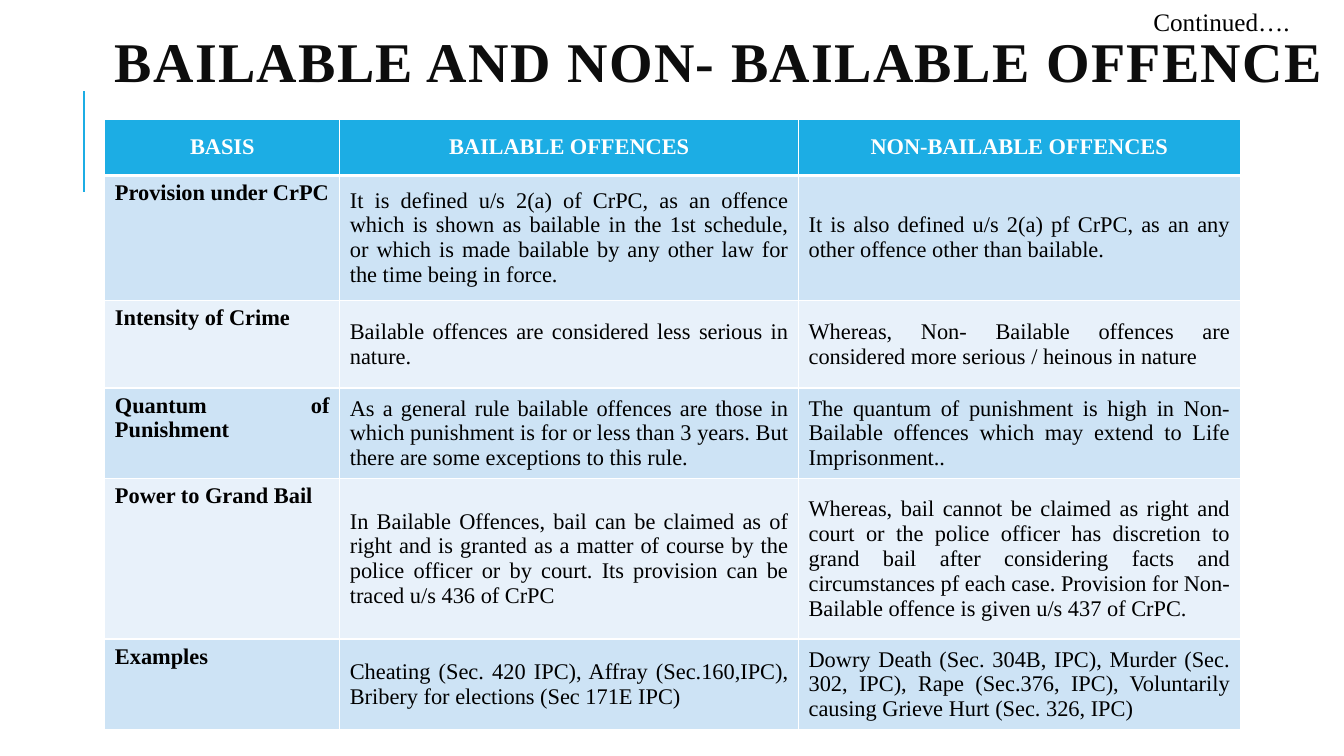
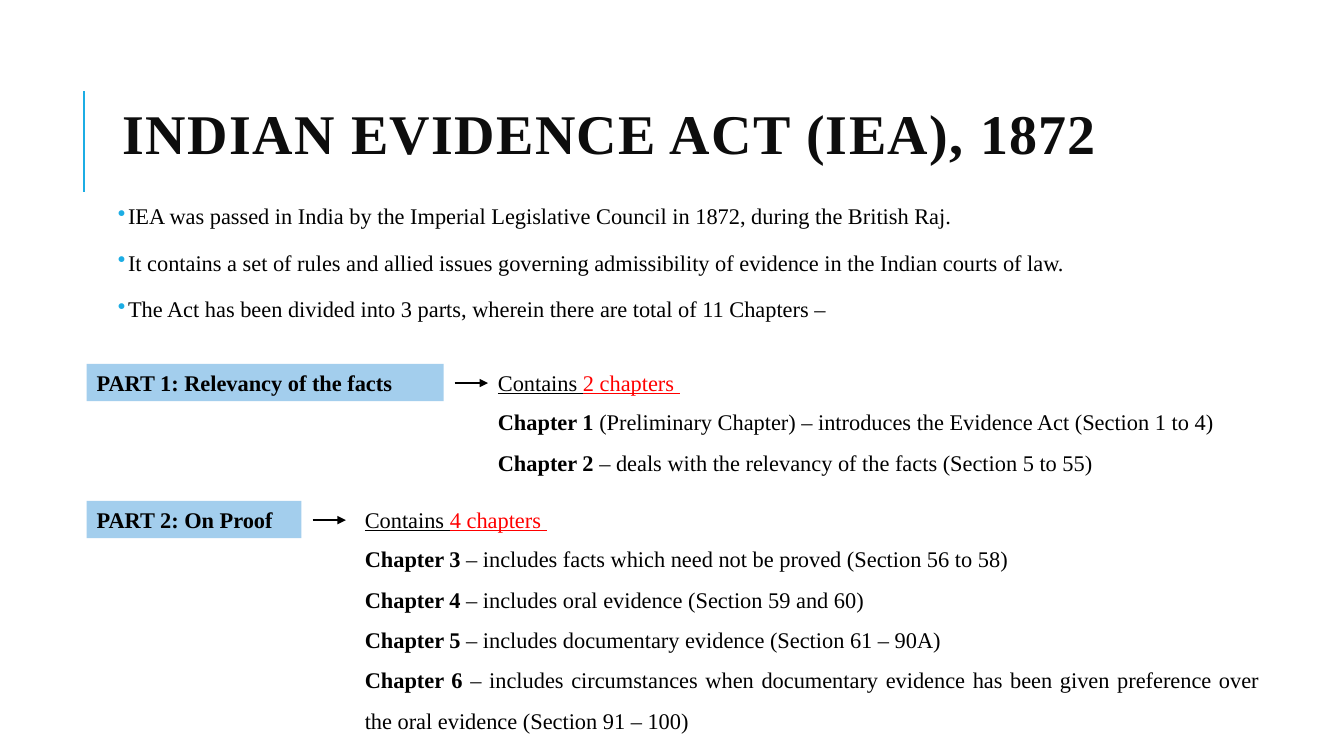
"""Build two slides on bailable offences and the Indian Evidence Act."""
from lxml import etree
from pptx import Presentation
from pptx import util as u
from pptx.dml import color
from pptx.enum import shapes, text
from pptx.oxml import ns

FONT = "Times New Roman"
BLUE, PALE, SOFT, BAND = "1CADE4", "E8F1FA", "CDE3F5", "A3CEED"
BLACK, INK, RED, WHITE = "000000", "0D0D0D", "FF0000", "FFFFFF"
JUST, MID = text.PP_ALIGN.JUSTIFY, text.MSO_ANCHOR.MIDDLE
LEFT, TOP = text.PP_ALIGN.LEFT, text.MSO_ANCHOR.TOP

COLS = [2.33, 4.55, 4.38]
ROWS = [0.56, 1.24, 0.87, 0.84, 1.59, 0.87]
CELLS = [
    ["BASIS", "BAILABLE OFFENCES", "NON-BAILABLE OFFENCES"],
    ["Provision under CrPC",
     "It is defined u/s 2(a) of CrPC, as an offence which is shown as bailable in the "
     "1st schedule, or which is made bailable by any other law for the time being in force.",
     "It is also defined u/s 2(a) pf CrPC, as an any other offence other than bailable."],
    ["Intensity of Crime",
     "Bailable offences are considered less serious in nature.",
     "Whereas, Non- Bailable offences are considered more serious / heinous in nature"],
    ["Quantum of Punishment",
     "As a general rule bailable offences are those in which punishment is for or less "
     "than 3 years. But there are some exceptions to this rule.",
     "The quantum of punishment is high in Non- Bailable offences which may extend to "
     "Life Imprisonment.."],
    ["Power to Grand Bail",
     "In Bailable Offences, bail can be claimed as of right and is granted as a matter of "
     "course by the police officer or by court. Its provision can be traced u/s 436 of CrPC",
     "Whereas, bail cannot be claimed as right and court or the police officer has "
     "discretion to grand bail after considering facts and circumstances pf each case. "
     "Provision for Non- Bailable offence is given u/s 437 of CrPC."],
    ["Examples",
     "Cheating (Sec. 420 IPC), Affray (Sec.160,IPC), Bribery for elections (Sec 171E IPC)",
     "Dowry Death (Sec. 304B, IPC), Murder (Sec. 302, IPC), Rape (Sec.376, IPC), "
     "Voluntarily causing Grieve Hurt (Sec. 326, IPC)"],
]
FACTS = [
    "IEA was passed in India by the Imperial Legislative Council in 1872, during the British Raj.",
    "It contains a set of rules and allied issues governing admissibility of evidence in the "
    "Indian courts of law.",
    "The Act has been divided into 3 parts, wherein there are total of 11 Chapters –",
]
PART1 = [
    ("Chapter 1", " (Preliminary Chapter) – introduces the Evidence Act (Section 1 to 4)"),
    ("Chapter 2", " – deals with the relevancy of the facts (Section 5 to 55)"),
]
PART2 = [
    ("Chapter 3", " – includes facts which need not be proved (Section 56 to 58)"),
    ("Chapter 4", " – includes oral evidence (Section 59 and 60)"),
    ("Chapter 5", " – includes documentary evidence (Section 61 – 90A)"),
    ("Chapter 6", " – includes circumstances when documentary evidence has been given "
                  "preference over the oral evidence (Section 91 – 100)"),
]


def rgb(code):
    """Turn a hex string into a colour."""
    return color.RGBColor.from_string(code)


def inches(*sizes):
    """Turn numbers into lengths."""
    return [u.Inches(size) for size in sizes]


def style(run, size=16, ink=BLACK, bold=False, line=False):
    """Set the font of a run."""
    font = run.font
    font.name, font.size, font.bold = FONT, u.Pt(size), bold
    font.underline = line
    font.color.rgb = rgb(ink)


def fill(frame, paras, align=LEFT, anchor=TOP, space=None):
    """Write paragraphs, each a list of (words, style) pairs."""
    frame.word_wrap = True
    frame.vertical_anchor = anchor
    for num, parts in enumerate(paras):
        para = frame.add_paragraph() if num else frame.paragraphs[0]
        para.alignment = align
        if space:
            para.line_spacing = space
        for words, look in parts:
            run = para.add_run()
            run.text = words
            style(run, **look)


def label(owner, at, paras, **opts):
    """Add a text box."""
    box = owner.shapes.add_textbox(*inches(*at))
    fill(box.text_frame, paras, **opts)
    return box


def line(owner, ends, ink, width, arrow=False):
    """Add a straight line, with an arrowhead if asked."""
    link = owner.shapes.add_connector(shapes.MSO_CONNECTOR.STRAIGHT, *inches(*ends))
    link.line.color.rgb = rgb(ink)
    link.line.width = u.Pt(width)
    if arrow:
        etree.SubElement(link.line._get_or_add_ln(), ns.qn("a:tailEnd"), type="triangle")
    etree.SubElement(link._element.spPr, ns.qn("a:effectLst"))


def page(deck, title, at, **opts):
    """Add a slide with its accent line and title."""
    slide = deck.slides.add_slide(deck.slide_layouts[6])
    line(slide, (0.83, 1.9, 0.83, 0.9), BLUE, 1.5)
    look = dict(size=40, ink=INK, bold=True)
    box = label(slide, at, [[(title, look)]], anchor=MID, **opts)
    box.text_frame.paragraphs[0].runs[0]._r.get_or_add_rPr().set("spc", "100")
    return slide


def edge(cell, top, base):
    """Draw white borders round a cell."""
    props = cell._tc.get_or_add_tcPr()
    for num, (side, width) in enumerate(zip("LRTB", (1, 1, top, base))):
        rule = etree.Element(ns.qn("a:ln" + side), w=str(u.Pt(width)))
        solid = etree.SubElement(rule, ns.qn("a:solidFill"))
        etree.SubElement(solid, ns.qn("a:srgbClr"), val=WHITE)
        props.insert(num, rule)


def grid(slide, left, top):
    """Add the comparison table."""
    size = inches(left, top, sum(COLS), sum(ROWS))
    table = slide.shapes.add_table(len(ROWS), len(COLS), *size).table
    for col, width in zip(table.columns, COLS):
        col.width = u.Inches(width)
    for row, (tall, words) in enumerate(zip(ROWS, CELLS)):
        table.rows[row].height = u.Inches(tall)
        head = row == 0
        for col, word in enumerate(words):
            cell = table.cell(row, col)
            look = dict(ink=WHITE if head else BLACK, bold=head or col == 0)
            fill(cell.text_frame, [[(word, look)]],
                 align=text.PP_ALIGN.CENTER if head else JUST)
            cell.vertical_anchor = MID if head or col else TOP
            cell.fill.solid()
            cell.fill.fore_color.rgb = rgb(BLUE if head else SOFT if row % 2 else PALE)
            edge(cell, 3 if row == 1 else 1, 3 if head else 1)


def bullets(slide, at, items):
    """Add a bulleted list."""
    box = label(slide, at, [[(item, {})] for item in items], align=JUST)
    frame = box.text_frame
    frame.margin_left = frame.margin_right = u.Inches(0.05)
    for num, para in enumerate(frame.paragraphs):
        props = para._p.get_or_add_pPr()
        props.set("marL", str(u.Inches(0.1)))
        props.set("indent", str(u.Inches(-0.1)))
        tint = etree.SubElement(props, ns.qn("a:buClr"))
        etree.SubElement(tint, ns.qn("a:srgbClr"), val=BLUE)
        etree.SubElement(props, ns.qn("a:buChar"), char="•")
        para.space_before = u.Pt(12 if num else 0)
        para.space_after = u.Pt(2)


def part(slide, name, count, items, top, wide, left, span, tall):
    """Add a part's band, arrow, chapter count and chapters."""
    group = slide.shapes.add_group_shape()
    band = group.shapes.add_shape(shapes.MSO_SHAPE.RECTANGLE, *inches(0.86, top, wide, 0.37))
    band.shadow.inherit = False
    band.fill.solid()
    band.fill.fore_color.rgb = rgb(BAND)
    band.line.fill.background()
    fill(band.text_frame, [[(name, dict(bold=True))]])
    start = 0.86 + wide + 0.11
    line(group, (start, top + 0.19, start + 0.33, top + 0.19), BLACK, 1.25, True)
    label(group, (left, top, 2.26, 0.37),
          [[("Contains ", dict(line=True)), (count, dict(line=True, ink=RED))]], align=JUST)
    label(group, (left, top + 0.26, span, tall),
          [[(head, dict(bold=True)), (rest, {})] for head, rest in items],
          align=JUST, space=1.5)


def main():
    """Build and save the deck."""
    deck = Presentation()
    deck.slide_width, deck.slide_height = inches(13.33, 7.5)

    slide = page(deck, "BAILABLE AND NON- BAILABLE OFFENCE", (1.04, 0.16, 12.22, 0.88),
                 align=JUST)
    grid(slide, 1.04, 1.18)
    label(slide, (11.34, 0.01, 1.79, 0.4), [[("Continued….", dict(size=18))]])

    slide = page(deck, "INDIAN EVIDENCE ACT (IEA), 1872", (1.12, 0.55, 10.63, 1.64), space=0.8)
    bullets(slide, (1.12, 1.96, 10.63, 1.4), FACTS)
    part(slide, "PART 1: Relevancy of the facts", "2 chapters ", PART1,
         3.61, 3.54, 4.84, 7.63, 0.86)
    part(slide, "PART 2: On Proof", "4 chapters ", PART2,
         4.97, 2.13, 3.52, 9.07, 2.07)
    deck.save("out.pptx")


if __name__ == "__main__":
    main()
